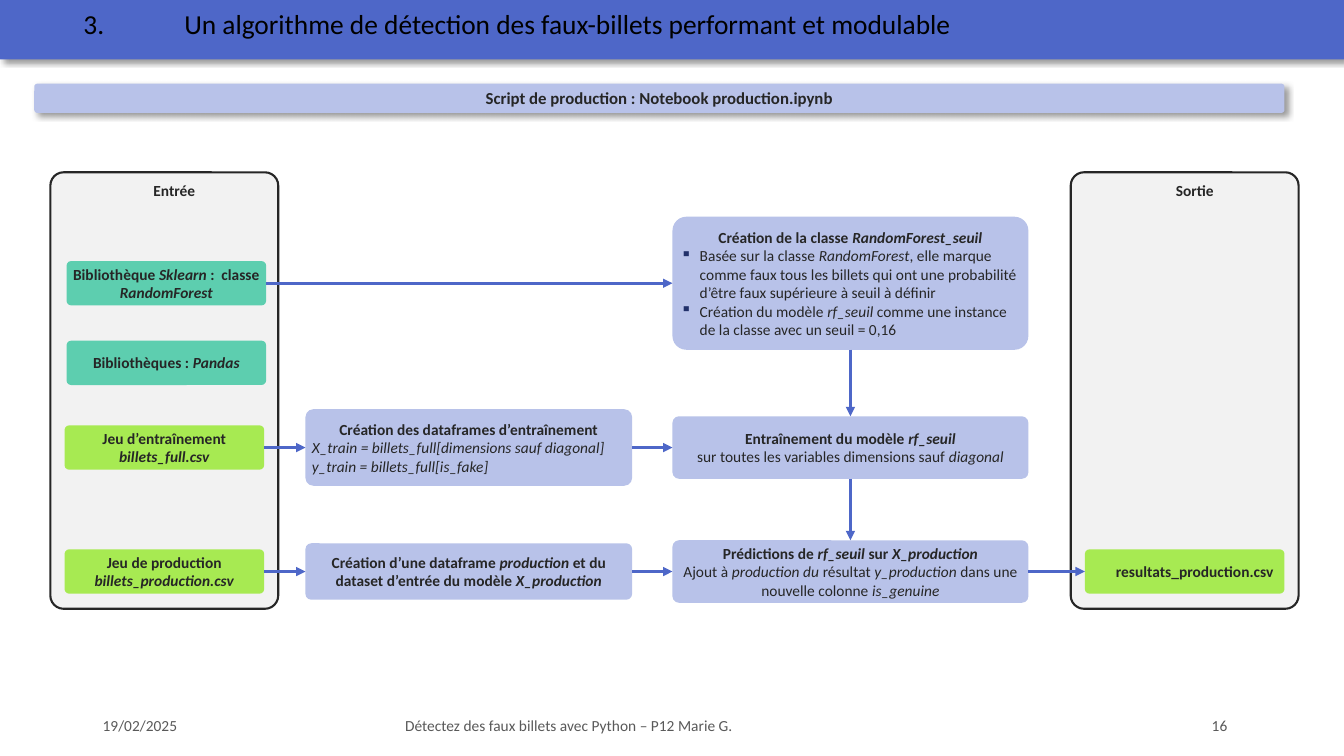
from lxml import etree
from pptx import Presentation
from pptx import util as u
from pptx.dml import color
from pptx.enum import shapes, text
from pptx.oxml import ns

TITLE = [("plain", "3.\tUn algorithme de détection des faux-billets performant et modulable")]
FOOTER = [("plain", "19/02/2025\tDétectez des faux billets avec Python – P12 Marie G.\t16")]
BANNER = [("head", "Script de production : Notebook production.ipynb")]

BLUE, PALE, TEAL, GREEN = "4E67C8", "B8C2E9", "5DCEAF", "A7EA52"
INK, PANEL, GREY, BULLET = "262626", "F2F2F2", "595959", "21306A"

COLUMNS = {
    "library": (0.66, 1.98, TEAL),
    "dataset": (0.64, 1.98, GREEN),
    "prepare": (3.03, 3.24, PALE),
    "model": (6.67, 3.53, PALE),
    "result": (10.76, 1.98, GREEN),
}
ROWS = {"class": 2.81, "pandas": 3.6, "train": 4.44, "predict": 5.67}
PANEL_TOP, PANEL_WIDTH, PANEL_HEIGHT = 1.71, 2.26, 4.33
PANELS = [(0.5, "Entrée"), (10.62, "Sortie")]

STEPS = {
    ("library", "class"): (0.44, [("head", "Bibliothèque *Sklearn* :  classe *RandomForest*")]),
    ("library", "pandas"): (0.44, [("head", "Bibliothèques : *Pandas*")]),
    ("dataset", "train"): (0.44, [("head", "Jeu d’entraînement *billets_full.csv*")]),
    ("dataset", "predict"): (0.44, [("head", "Jeu de production *billets_production.csv*")]),
    ("prepare", "train"): (0.76, [
        ("head", "Création des dataframes d’entraînement"),
        ("plain", "*X_train = billets_full[dimensions sauf diagonal]*"),
        ("plain", "*y_train = billets_full[is_fake]*")]),
    ("prepare", "predict"): (0.56, [
        ("head", "Création d’une dataframe *production* et du dataset d’entrée "
                 "du modèle *X_production*")]),
    ("model", "class"): (1.32, [
        ("head", "Création de la classe *RandomForest_seuil*"),
        ("bullet", "Basée sur la classe *RandomForest*, elle marque comme faux tous les billets "
                   "qui ont une probabilité d’être faux supérieure à seuil à définir"),
        ("bullet", "Création du modèle *rf_seuil *comme une instance de la classe "
                   "avec un seuil = 0,16")]),
    ("model", "train"): (0.62, [
        ("head", "Entraînement du modèle *rf_seuil*"),
        ("centre", "sur toutes les variables dimensions sauf *diagonal*")]),
    ("model", "predict"): (0.62, [
        ("head", "Prédictions de *rf_seuil *sur *X_production*"),
        ("centre", "Ajout à *production du* résultat *y_production *dans une nouvelle "
                   "colonne *is_genuine*")]),
    ("result", "predict"): (0.44, [("shifted", "resultats_production.csv")]),
}
TOP, LEFT, BOTTOM, RIGHT = range(4)
FLOWS = [
    (("library", "class"), ("model", "class")),
    (("model", "class"), ("model", "train")),
    (("dataset", "train"), ("prepare", "train")),
    (("prepare", "train"), ("model", "train")),
    (("model", "train"), ("model", "predict")),
    (("dataset", "predict"), ("prepare", "predict")),
    (("prepare", "predict"), ("model", "predict")),
    (("model", "predict"), ("result", "predict")),
]


def rgb(value):
    return color.RGBColor.from_string(value)


def add_xml(parent, tag, **attributes):
    return etree.SubElement(parent, ns.qn(tag), attributes)


def write(box, paragraphs, size=11, ink=INK, anchor=text.MSO_ANCHOR.MIDDLE,
          inset=0.04, tabs=(), spacing=None, before=None):
    frame = box.text_frame
    frame.word_wrap = True
    frame.vertical_anchor = anchor
    frame.margin_left = frame.margin_right = u.Inches(inset)
    frame.margin_top = frame.margin_bottom = u.Inches(0.05)
    for index, (role, words) in enumerate(paragraphs):
        line = frame.paragraphs[0] if index == 0 else frame.add_paragraph()
        centred = role in ("head", "shifted", "centre")
        line.alignment = text.PP_ALIGN.CENTER if centred else text.PP_ALIGN.LEFT
        line.line_spacing = spacing
        line.space_before = before
        properties = line._p.get_or_add_pPr()
        if role == "shifted":
            properties.set("marL", str(u.Inches(0.2)))
        if role == "bullet":
            properties.set("marL", str(u.Inches(0.19)))
            properties.set("indent", str(-u.Inches(0.19)))
            add_xml(add_xml(properties, "a:buClr"), "a:srgbClr", val=BULLET)
            add_xml(properties, "a:buChar", char="▪")
        if tabs:
            stops = add_xml(properties, "a:tabLst")
            for stop in tabs:
                add_xml(stops, "a:tab", pos=str(u.Inches(stop)), algn="l")
        for part, piece in enumerate(words.split("*")):
            if piece:
                run = line.add_run()
                run.text = piece
                run.font.name = "Calibri"
                run.font.size = u.Pt(size)
                run.font.color.rgb = rgb(ink)
                run.font.bold = role in ("head", "shifted")
                run.font.italic = part % 2 == 1


def add_box(slide, place, fill, corner=None, outline=None, raised=False):
    kind = shapes.MSO_SHAPE.ROUNDED_RECTANGLE if corner else shapes.MSO_SHAPE.RECTANGLE
    box = slide.shapes.add_shape(kind, *map(u.Inches, place))
    if corner:
        box.adjustments[0] = corner
    box.fill.solid()
    box.fill.fore_color.rgb = rgb(fill)
    if outline:
        box.line.color.rgb = rgb(outline)
        box.line.width = u.Pt(1.5)
    else:
        box.line.fill.background()
    box.shadow.inherit = False
    if raised:
        effects = box._element.spPr.find(ns.qn("a:effectLst"))
        shadow = add_xml(effects, "a:outerShdw", blurRad=str(u.Pt(4)), dist=str(u.Pt(3)),
                         dir="2700000", algn="tl", rotWithShape="0")
        add_xml(add_xml(shadow, "a:srgbClr", val="000000"), "a:alpha", val="40000")
    return box


def add_flow(slide, source, source_side, target, target_side):
    flow = slide.shapes.add_connector(shapes.MSO_CONNECTOR.STRAIGHT, 0, 0, 0, 0)
    flow.begin_connect(source, source_side)
    flow.end_connect(target, target_side)
    flow.line.color.rgb = rgb(BLUE)
    flow.line.width = u.Pt(2.25)
    add_xml(flow.line._get_or_add_ln(), "a:tailEnd", type="triangle")
    add_xml(flow._element.spPr, "a:effectLst")


def main():
    deck = Presentation()
    deck.slide_width, deck.slide_height = u.Inches(13.33), u.Inches(7.5)
    slide = deck.slides.add_slide(deck.slide_layouts[6])

    footer = slide.shapes.add_textbox(*map(u.Inches, (0.92, 7.05, 11.5, 0.3)))
    write(footer, FOOTER, ink=GREY, inset=0.1, tabs=(3, 11))
    add_box(slide, (0, 0, 13.33, 0.59), BLUE, raised=True)
    title = slide.shapes.add_textbox(*map(u.Inches, (0.73, 0.11, 10.17, 0.36)))
    write(title, TITLE, size=19.6, ink="000000", anchor=text.MSO_ANCHOR.TOP,
          inset=0.1, tabs=(1,), spacing=0.7, before=u.Pt(10))

    for left, label in PANELS:
        panel = add_box(slide, (left, PANEL_TOP, PANEL_WIDTH, PANEL_HEIGHT), PANEL,
                        corner=0.058, outline=INK)
        write(panel, [("shifted", label)], anchor=text.MSO_ANCHOR.TOP)
    banner = add_box(slide, (0.34, 0.83, 12.4, 0.29), PALE, corner=0.104, raised=True)
    write(banner, BANNER, size=12)

    steps = {}
    for (column, row), (height, words) in STEPS.items():
        left, width, fill = COLUMNS[column]
        step = add_box(slide, (left, ROWS[row] - height / 2, width, height), fill, corner=0.104)
        write(step, words)
        steps[column, row] = step

    for source, target in FLOWS:
        sides = (BOTTOM, TOP) if source[0] == target[0] else (RIGHT, LEFT)
        add_flow(slide, steps[source], sides[0], steps[target], sides[1])

    deck.save("out.pptx")


if __name__ == "__main__":
    main()
